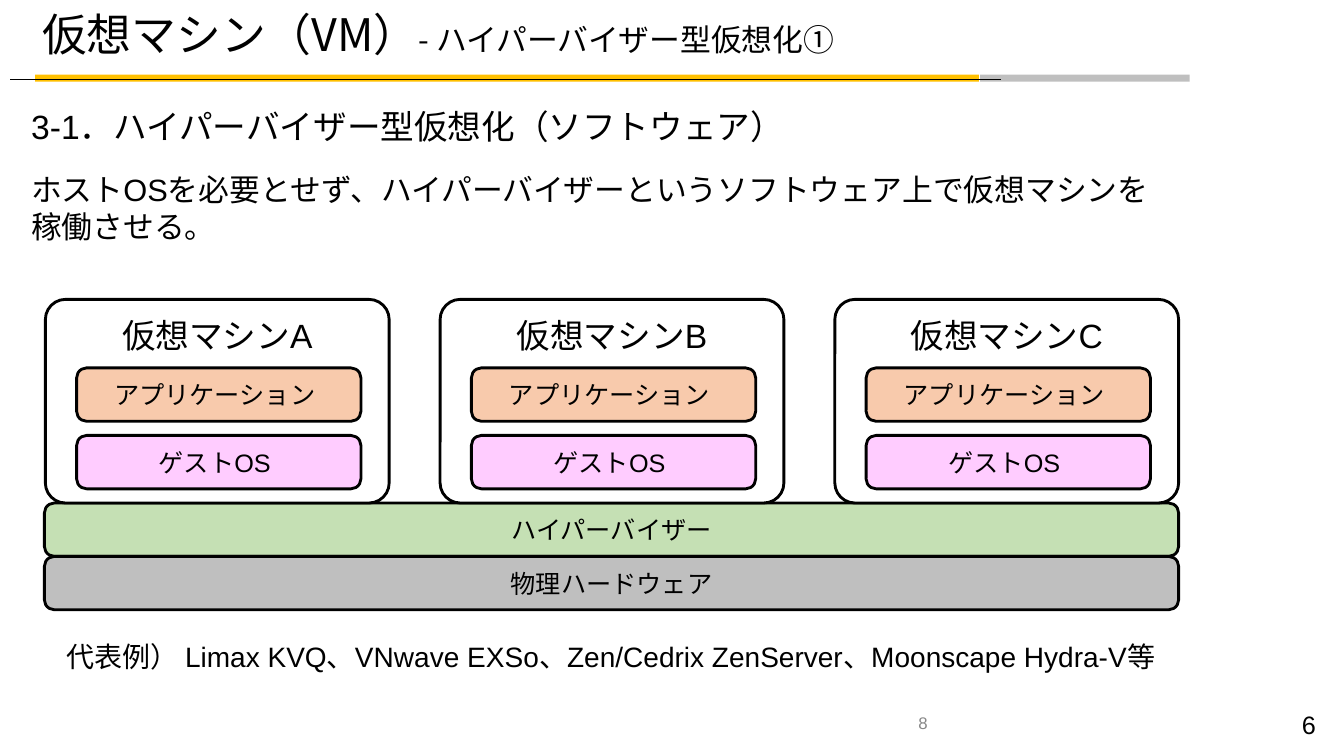
import pptx
import pptx.util
import pptx.dml.color
import pptx.enum.shapes
import pptx.enum.text
from lxml import etree
from pptx.util import Inches, Pt

ALIGN = pptx.enum.text.PP_ALIGN
ANCHOR = pptx.enum.text.MSO_ANCHOR
SHAPE = pptx.enum.shapes.MSO_SHAPE
DRAWING = "{http://schemas.openxmlformats.org/drawingml/2006/main}"


def color(value):
    return pptx.dml.color.RGBColor.from_string(value)


class SlideBuilder:
    latin = "Arial"
    japanese = "Noto Sans CJK JP"
    ink = "000000"
    outline = 2.04

    def __init__(self, slide):
        self.slide = slide

    def format_run(self, run, size, font=None, ink=None):
        run.font.size = Pt(size)
        run.font.name = font or self.latin
        run.font.color.rgb = color(ink or self.ink)
        if font:
            etree.SubElement(run.font._element, DRAWING + "ea", typeface=font)

    def set_insets(self, frame, insets):
        frame.word_wrap = True
        frame.margin_left, frame.margin_top, frame.margin_right, frame.margin_bottom = map(Inches, insets)

    def text(self, box, lines, insets=(0, 0, 0, 0), align=ALIGN.LEFT, ink=None, before=0):
        frame = self.slide.shapes.add_textbox(*map(Inches, box)).text_frame
        self.set_insets(frame, insets)
        frame.text = "\n".join(words for words, size in lines)
        for paragraph, (words, size) in zip(frame.paragraphs, lines):
            paragraph.alignment = align
            paragraph.space_before = Pt(before)
            self.format_run(paragraph.runs[0], size, ink=ink)

    def title(self, box, parts):
        frame = self.slide.shapes.add_textbox(*map(Inches, box)).text_frame
        self.set_insets(frame, (0.1, 0.05, 0.1, 0.05))
        frame.vertical_anchor = ANCHOR.MIDDLE
        paragraph = frame.paragraphs[0]
        paragraph.line_spacing = 0.9
        for words, size in parts:
            run = paragraph.add_run()
            run.text = words
            self.format_run(run, size, self.japanese)

    def band(self, box, fill):
        shape = self.slide.shapes.add_shape(SHAPE.RECTANGLE, *map(Inches, box))
        shape.shadow.inherit = False
        shape.fill.solid()
        shape.fill.fore_color.rgb = color(fill)
        shape.line.fill.background()

    def rounded(self, box, fill, words, size=18, radius=0.1, anchor=ANCHOR.MIDDLE, insets=(0, 0, 0, 0)):
        shape = self.slide.shapes.add_shape(SHAPE.ROUNDED_RECTANGLE, *map(Inches, box))
        shape.shadow.inherit = False
        shape.adjustments[0] = radius / min(box[2:])
        shape.fill.solid()
        shape.fill.fore_color.rgb = color(fill)
        shape.line.color.rgb = color(self.ink)
        shape.line.width = Pt(self.outline)
        frame = shape.text_frame
        self.set_insets(frame, insets)
        frame.vertical_anchor = anchor
        frame.text = words
        frame.paragraphs[0].alignment = ALIGN.CENTER
        self.format_run(frame.paragraphs[0].runs[0], size)

    def rule(self, left, right, top, width):
        line = self.slide.shapes.add_connector(
            pptx.enum.shapes.MSO_CONNECTOR.STRAIGHT, Inches(left), Inches(top), Inches(right), Inches(top))
        line.line.color.rgb = color(self.ink)
        line.line.width = Pt(width)
        etree.SubElement(line._element.spPr, DRAWING + "effectLst")


def main():
    presentation = pptx.Presentation()
    presentation.slide_width = Inches(13.33)
    presentation.slide_height = Inches(7.5)
    builder = SlideBuilder(presentation.slides.add_slide(presentation.slide_layouts[6]))

    builder.band((0.35, 0.74, 9.36, 0.07), "FFC000")
    builder.band((9.72, 0.74, 2.08, 0.07), "BFBFBF")
    builder.title((0.32, 0, 11.5, 0.74), [("仮想マシン（VM）", 32), ("- ハイパーバイザー型仮想化①", 22)])
    builder.rule(0.1, 9.93, 0.79, 0.48)
    builder.text((0.31, 0.81, 11.38, 1.63), [
        ("3-1．ハイパーバイザー型仮想化（ソフトウェア）", 24),
        ("ホストOSを必要とせず、ハイパーバイザーというソフトウェア上で仮想マシンを稼働させる。", 22),
    ], insets=(0, 0.24, 0, 0), before=17.4)

    stack_left, stack_width, bar_height = 0.44, 11.25, 0.53
    hypervisor_top = 4.99
    builder.rounded((stack_left, hypervisor_top, stack_width, bar_height), "C5E0B4", "ハイパーバイザー")
    builder.rounded((stack_left, hypervisor_top + bar_height, stack_width, bar_height), "BFBFBF", "物理ハードウェア")

    machine_top, machine_width, machine_pitch = 2.97, 3.41, 3.915
    layers = [("アプリケーション", 3.65, "F8CAAC"), ("ゲストOS", 4.32, "FFCCFF")]
    for index, letter in enumerate("ABC"):
        left = 0.45 + index * machine_pitch
        builder.rounded((left, machine_top, machine_width, hypervisor_top - machine_top), "FFFFFF",
                        f"仮想マシン{letter}", 24, 0.2, ANCHOR.TOP, (0, 0.1, 0, 0))
        for words, top, fill in layers:
            builder.rounded((left + 0.31, top, 2.82, bar_height), fill, words, insets=(0, 0, 0.08, 0))

    builder.text((0.46, 6.3, 11.26, 0.44), [
        ("代表例） Limax KVQ、VNwave EXSo、Zen/Cedrix ZenServer、Moonscape Hydra-V等", 20),
    ], insets=(0.2, 0.05, 0.1, 0.05))
    builder.text((9.11, 7.07, 0.2, 0.17), [("8", 12)], ink="888888")
    builder.text((10.15, 6.99, 3, 0.4), [("6", 18)], (0.1, 0.05, 0.1, 0.05), ALIGN.RIGHT)
    presentation.save("out.pptx")


if __name__ == "__main__":
    main()
